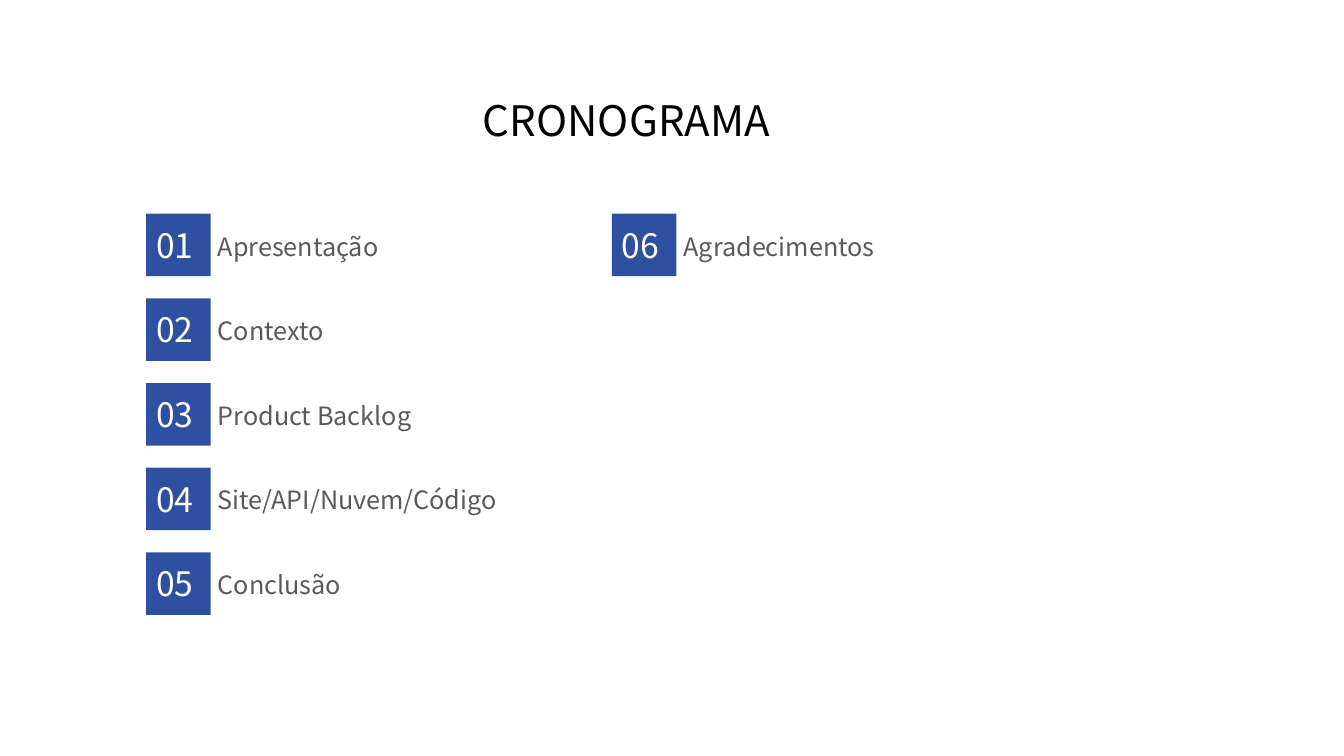
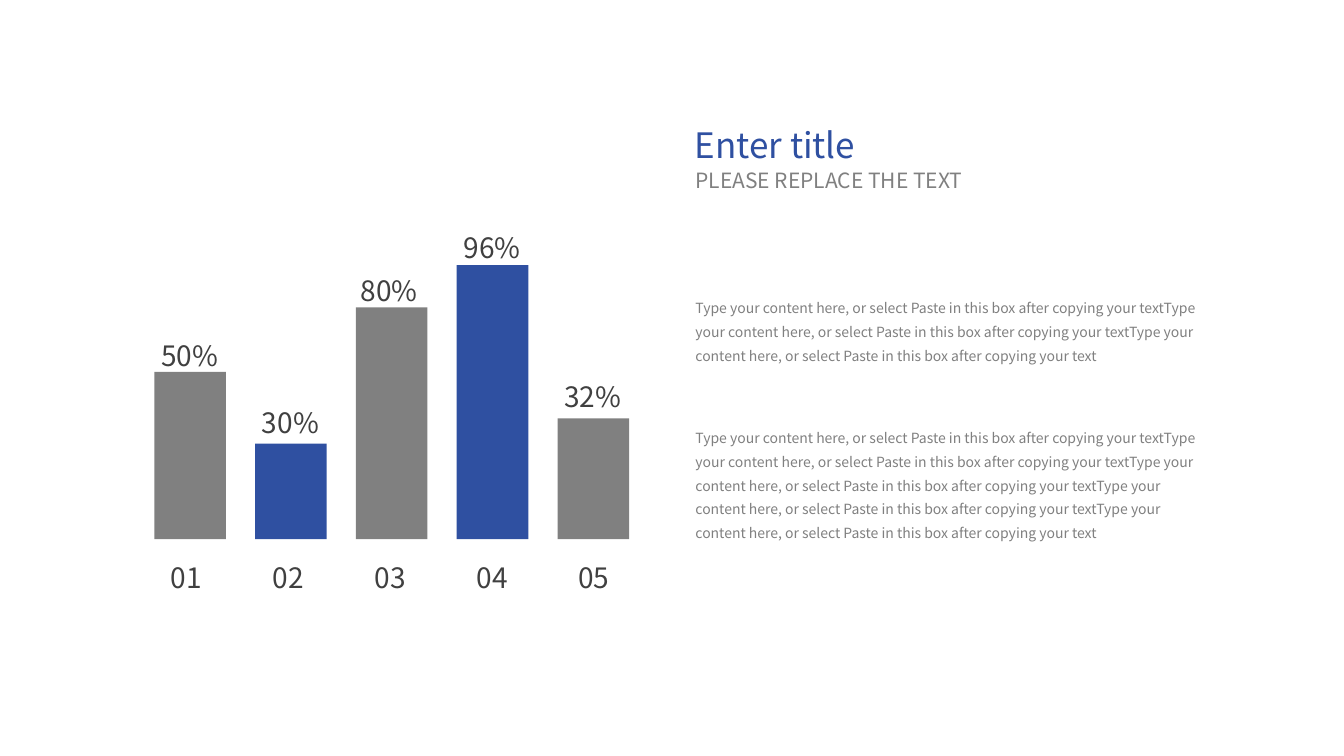
import pptx
import pptx.util
import pptx.dml.color
import pptx.enum.shapes
import pptx.enum.text

Inches = pptx.util.Inches
ALIGN = pptx.enum.text.PP_ALIGN
ANCHOR = pptx.enum.text.MSO_ANCHOR
FIT = pptx.enum.text.MSO_AUTO_SIZE

# Shared style
FONT = "Noto Sans CJK SC"
BLUE, GREY = "2F50A1", "808080"
BLACK, WHITE, LABEL, DARK = "000000", "FFFFFF", "595959", "404040"

# Content
AGENDA_TITLE = "CRONOGRAMA"
AGENDA = ["Apresentação", "Contexto", "Product Backlog",
          "Site/API/Nuvem/Código", "Conclusão", "Agradecimentos"]
AGENDA_ROWS = 5

CHART_TITLE = "Enter title"
CHART_SUBTITLE = "PLEASE REPLACE THE TEXT"
SENTENCE = "Type your content here, or select Paste in this box after copying your text"
# top, height, number of times the sentence runs on
PASSAGES = [(2.86, 0.81, 3), (4.15, 1.28, 5)]
# label, drawn height, label left shift, gap from label top to bar top
BARS = [("50%", 1.66, 0, 0.38), ("30%", 0.95, 0, 0.43), ("80%", 2.3, -0.02, 0.39),
        ("96%", 2.72, 0, 0.39), ("32%", 1.2, 0, 0.43)]


def color(value):
    return pptx.dml.color.RGBColor.from_string(value)


def place(shape, left, top, width, height):
    shape.left, shape.top = Inches(left), Inches(top)
    shape.width, shape.height = Inches(width), Inches(height)


def write(box, text, size, fill, align=ALIGN.LEFT, anchor=ANCHOR.TOP, wrap=True,
          fit=FIT.SHAPE_TO_FIT_TEXT, inset=(0.1, 0.05), spacing=None, before=None):
    frame = box.text_frame
    frame.word_wrap = wrap
    frame.auto_size = fit
    frame.vertical_anchor = anchor
    frame.margin_left = frame.margin_right = Inches(inset[0])
    frame.margin_top = frame.margin_bottom = Inches(inset[1])
    para = frame.paragraphs[0]
    para.alignment = align
    if spacing:
        para.line_spacing = spacing
    if before:
        para.space_before = pptx.util.Pt(before)
    span = para.add_run()
    span.text = text
    span.font.name = FONT
    span.font.size = pptx.util.Pt(size)
    span.font.color.rgb = color(fill)


def add_text(page, area, text, size, fill, **style):
    box = page.shapes.add_textbox(*map(Inches, area))
    write(box, text, size, fill, **style)


def add_block(page, area, fill):
    block = page.shapes.add_shape(
        pptx.enum.shapes.MSO_SHAPE.RECTANGLE, *map(Inches, area))
    block.shadow.inherit = False
    block.fill.solid()
    block.fill.fore_color.rgb = color(fill)
    block.line.fill.background()


def add_page(deck, title, area, size, fill, **style):
    page = deck.slides.add_slide(deck.slide_layouts[5])
    place(page.shapes.title, *area)
    write(page.shapes.title, title, size, fill, **style)
    return page


def build_agenda(deck):
    page = add_page(deck, AGENDA_TITLE, (4.69, 0.89, 3.95, 0.6), 30, BLACK)
    left, top, column_step, row_step = 1.45, 2.12, 4.62, 0.84
    for index, topic in enumerate(AGENDA):
        column, row = divmod(index, AGENDA_ROWS)
        x, y = left + column * column_step, top + row * row_step
        add_block(page, (x, y, 0.64, 0.62), BLUE)
        add_text(page, (x, y + 0.06, 0.61, 0.5), f"{index + 1:02}", 24, WHITE)
        add_text(page, (x + 0.71, y + 0.17, 2.98, 0.3), topic, 18, LABEL, inset=(0, 0))


def build_chart(deck):
    heading = dict(anchor=ANCHOR.BOTTOM, wrap=False, fit=FIT.NONE, spacing=1.2)
    page = add_page(deck, CHART_TITLE, (6.79, 1.27, 2.69, 0.42), 25, BLUE, **heading)
    add_text(page, (6.8, 1.54, 2.69, 0.42), CHART_SUBTITLE, 15, GREY, **heading)

    # Bars stand on one base line, in alternating colours
    left, base, step, width = 1.53, 5.35, 1, 0.71
    centred = dict(align=ALIGN.CENTER, wrap=False)
    for index, (label, height, shift, gap) in enumerate(BARS):
        x, y = left + index * step, base - height
        add_block(page, (x, y, width, height), (GREY, BLUE)[index % 2])
        add_text(page, (x - 0.04 + shift, y - gap, 0.78, 0.44), label, 20, DARK, **centred)
        add_text(page, (1.59 + index * 1.01, 5.51, 0.52, 0.44),
                 f"{index + 1:02}", 20, DARK, **centred)

    # Passages
    for top, height, times in PASSAGES:
        add_text(page, (6.8, top, 5.24, height), SENTENCE * times, 10, GREY,
                 spacing=1.4, before=2)


def main():
    deck = pptx.Presentation()
    deck.slide_width, deck.slide_height = Inches(13.33), Inches(7.5)
    build_agenda(deck)
    build_chart(deck)
    deck.save("out.pptx")


if __name__ == "__main__":
    main()
